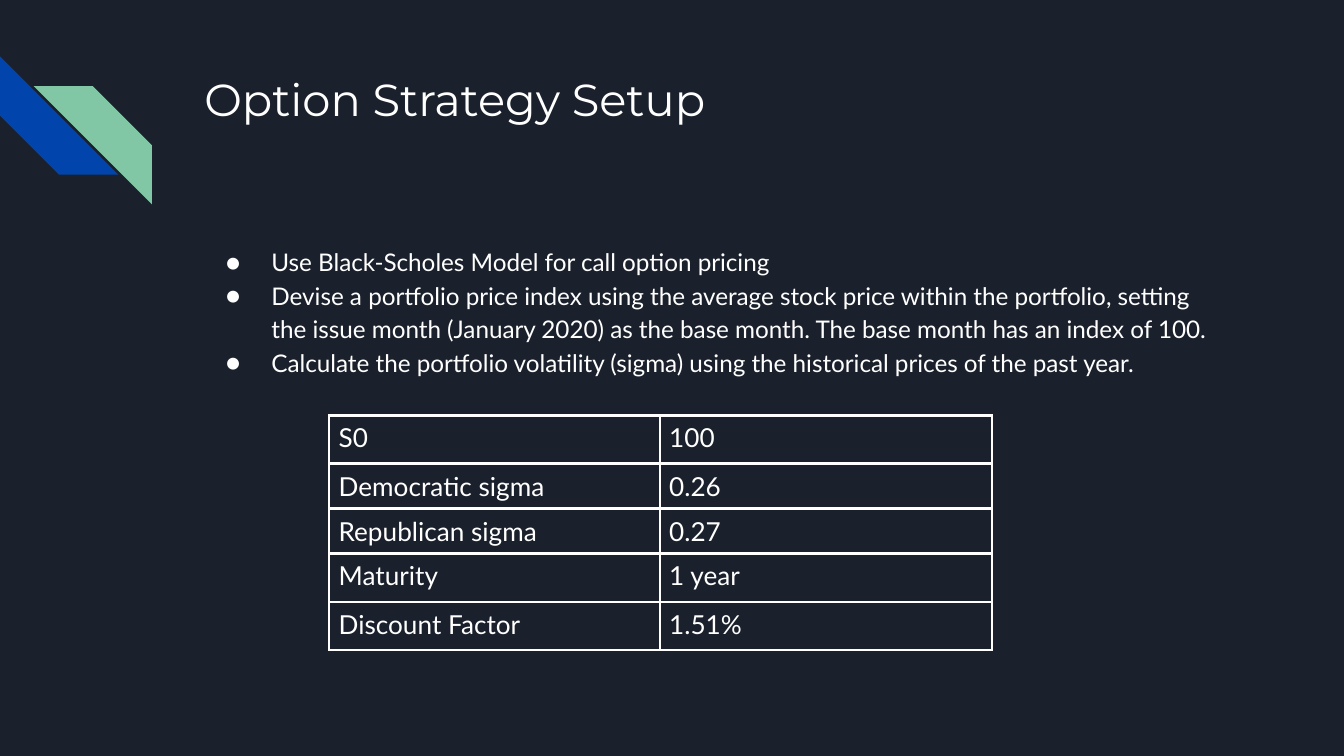
"""Build the option strategy setup slide."""
from lxml import etree
from pptx import Presentation
from pptx import util as u
from pptx.dml.color import RGBColor
from pptx.enum import shapes, text
from pptx.oxml.ns import qn

BACKGROUND, WHITE, BLUE, GREEN = "1B212C", "FFFFFF", "0145AC", "82C7A5"
TITLE = "Option Strategy Setup"
BULLETS = [
    "Use Black-Scholes Model for call option pricing",
    "Devise a portfolio price index using the average stock price within the portfolio, "
    "setting the issue month (January 2020) as the base month. "
    "The base month has an index of 100.",
    "Calculate the portfolio volatility (sigma) using the historical prices of the past year.",
]
PARAMETERS = [
    ("S0", "100", 0.36),
    ("Democratic sigma", "0.26", 0.33),
    ("Republican sigma", "0.27", 0.33),
    ("Maturity", "1 year", 0.36),
    ("Discount Factor", "1.51%", 0.36),
]
COLUMN_WIDTHS = [2.46, 2.47]
STRIPES = [(0, 0.42, 270, BLUE), (0.25, 0.64, 90, GREEN)]
STRIPE_SIZE = 0.88
SLIDE_WIDTH = 10


def paint(fill, color):
    fill.solid()
    fill.fore_color.rgb = RGBColor.from_string(color)


def set_font(para, name, size):
    para.font.name = name
    para.font.size = u.Pt(size)
    para.font.color.rgb = RGBColor.from_string(WHITE)


def place(holder, left, top, width, height):
    holder.left, holder.top = u.Inches(left), u.Inches(top)
    holder.width, holder.height = u.Inches(width), u.Inches(height)
    frame = holder.text_frame
    frame.margin_left = frame.margin_right = u.Inches(0.1)
    frame.margin_top = frame.margin_bottom = u.Inches(0.1)
    frame.vertical_anchor = text.MSO_ANCHOR.TOP
    frame.auto_size = text.MSO_AUTO_SIZE.NONE
    frame.word_wrap = True
    return frame


def set_bullet(para):
    properties = para._p.get_or_add_pPr()
    properties.set("marL", str(u.Inches(0.5)))
    properties.set("indent", str(u.Inches(-0.34)))
    color = etree.SubElement(properties, qn("a:buClr"))
    etree.SubElement(color, qn("a:srgbClr"), val=WHITE)
    etree.SubElement(properties, qn("a:buFont"), typeface="Lato")
    etree.SubElement(properties, qn("a:buChar"), char="●")


def set_borders(cell):
    properties = cell._tc.get_or_add_tcPr()
    for side in ("a:lnL", "a:lnR", "a:lnT", "a:lnB"):
        line = etree.SubElement(properties, qn(side), w=str(u.Pt(1.5)))
        fill = etree.SubElement(line, qn("a:solidFill"))
        etree.SubElement(fill, qn("a:srgbClr"), val=WHITE)


def add_stripes(slide):
    for left, top, rotation, color in STRIPES:
        stripe = slide.shapes.add_shape(
            shapes.MSO_SHAPE.DIAGONAL_STRIPE, u.Inches(left), u.Inches(top),
            u.Inches(STRIPE_SIZE), u.Inches(STRIPE_SIZE))
        stripe.adjustments[0] = 0.5
        stripe.rotation = rotation
        stripe.shadow.inherit = False
        stripe.line.fill.background()
        paint(stripe.fill, color)


def add_text(slide):
    title = place(slide.shapes.title, 1.42, 0.43, 7.7, 1)
    title.text = TITLE
    title.paragraphs[0].alignment = text.PP_ALIGN.LEFT
    set_font(title.paragraphs[0], "Montserrat", 24)

    body = place(slide.placeholders[1], 1.42, 1.71, 7.7, 3.18)
    body.text = "\n".join(BULLETS)
    for para in body.paragraphs:
        para.line_spacing = 1.15
        para.space_before = u.Pt(0)
        set_bullet(para)
        set_font(para, "Lato", 13)


def add_parameters(slide):
    height = sum(row[-1] for row in PARAMETERS)
    table = slide.shapes.add_table(
        len(PARAMETERS), len(COLUMN_WIDTHS), u.Inches(2.45), u.Inches(3.09),
        u.Inches(sum(COLUMN_WIDTHS)), u.Inches(height)).table
    table.first_row = table.horz_banding = False
    for column, width in zip(table.columns, COLUMN_WIDTHS):
        column.width = u.Inches(width)
    for row, (*values, row_height) in zip(table.rows, PARAMETERS):
        row.height = u.Inches(row_height)
        for cell, value in zip(row.cells, values):
            cell.text = value
            cell.margin_left = cell.margin_right = u.Inches(0.07)
            cell.margin_top = cell.margin_bottom = u.Inches(0.05)
            set_font(cell.text_frame.paragraphs[0], "Lato", 14)
            set_borders(cell)
            cell.fill.background()


def main():
    deck = Presentation()
    deck.slide_width = u.Inches(SLIDE_WIDTH)
    deck.slide_height = u.Inches(SLIDE_WIDTH * 9 / 16)
    slide = deck.slides.add_slide(deck.slide_layouts[1])
    paint(slide.background.fill, BACKGROUND)
    add_stripes(slide)
    add_text(slide)
    add_parameters(slide)
    deck.save("out.pptx")


if __name__ == "__main__":
    main()
